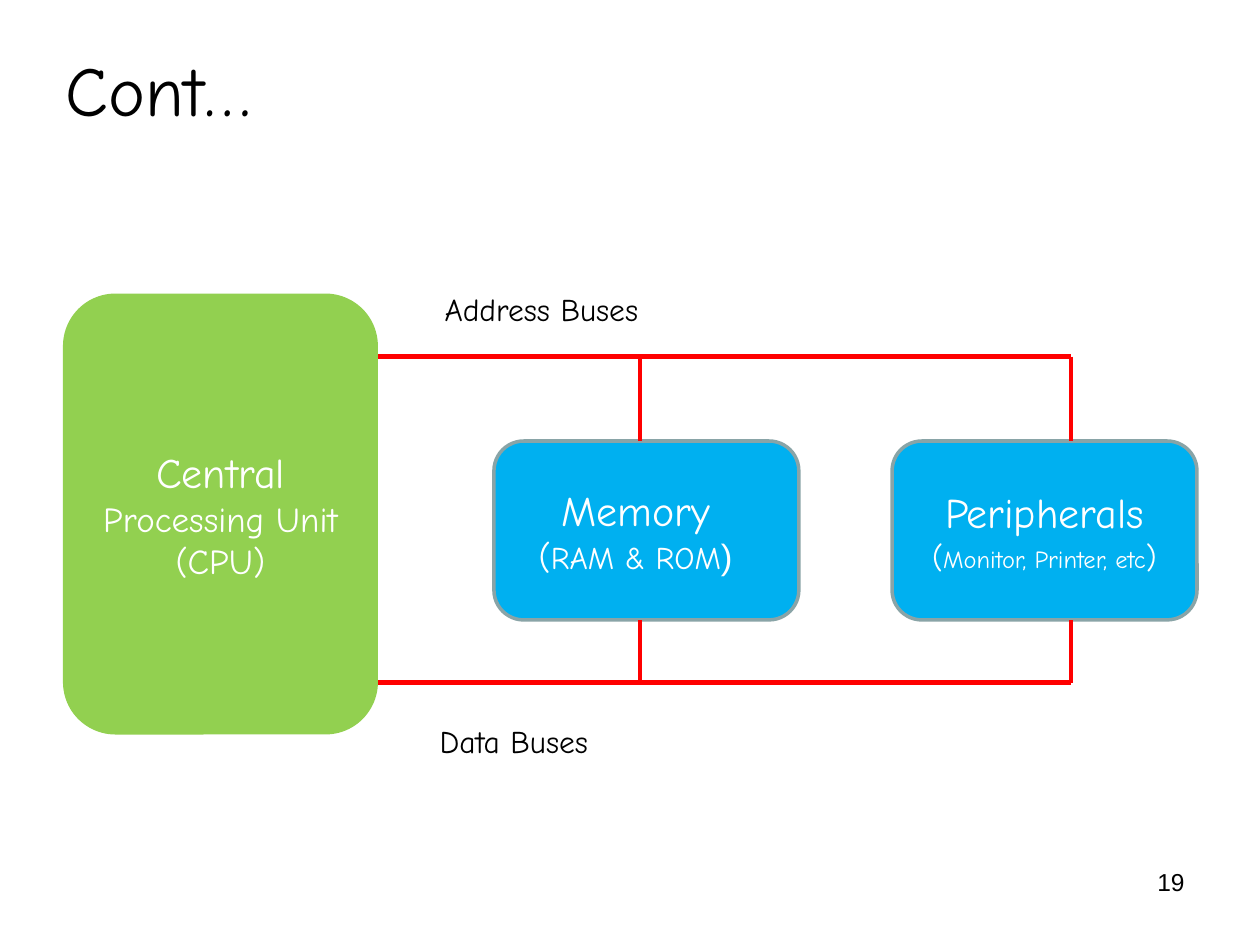
from dataclasses import dataclass

from pptx import Presentation
from pptx.dml.color import RGBColor
from pptx.enum.shapes import MSO_CONNECTOR as Connector, MSO_SHAPE as Shape
from pptx.enum.text import MSO_ANCHOR as Anchor, PP_ALIGN as Align
from pptx.oxml.ns import qn
from pptx.util import Inches, Pt

BLACK = RGBColor(0x00, 0x00, 0x00)
WHITE = RGBColor(0xFF, 0xFF, 0xFF)
GREEN = RGBColor(0x92, 0xD0, 0x50)
BLUE = RGBColor(0x00, 0xB0, 0xF0)
BORDER = RGBColor(0x89, 0xA4, 0xA7)
RED = RGBColor(0xFF, 0x00, 0x00)
HAND_FONT = "Comic Neue"
PLAIN_FONT = "Arial"

CPU_RIGHT = 3
MEMORY_X, PERIPHERALS_X = 5.08, 8.5
ADDRESS_Y, DATA_Y = 2.83, 5.42
UNIT_TOP, UNIT_WIDTH, UNIT_HEIGHT = 3.5, 2.42, 1.42


@dataclass(frozen=True)
class Run:
    text: str
    size: float
    font: str = HAND_FONT
    color: RGBColor = WHITE


@dataclass(frozen=True)
class Line:
    runs: tuple[Run, ...]
    right_indent: float = 0


@dataclass(frozen=True)
class Block:
    box: tuple[float, float, float, float]
    fill: RGBColor
    border: RGBColor | None
    lines: tuple[Line, ...]


@dataclass(frozen=True)
class Label:
    box: tuple[float, float, float, float]
    run: Run
    align: Align = Align.LEFT
    wrap: bool = False


@dataclass(frozen=True)
class Wire:
    start: tuple[float, float]
    end: tuple[float, float]


def unit_block(left: float, *lines: Line) -> Block:
    return Block((left, UNIT_TOP, UNIT_WIDTH, UNIT_HEIGHT), BLUE, BORDER, lines)


BLOCKS = (
    Block((0.5, 2.33, 2.5, 3.5), GREEN, None,
          (Line((Run("Central ", 24), Run("Processing Unit (CPU)", 20))),)),
    unit_block(3.92,
               Line((Run("Memory", 24),), right_indent=0.17),
               Line((Run("(", 20), Run("RAM & ROM", 18), Run(")", 20, PLAIN_FONT)))),
    unit_block(7.08,
               Line((Run("Peripherals", 24),)),
               Line((Run("(", 18), Run("Monitor, Printer, etc", 14), Run(")", 18)))),
)

BUSES = ((ADDRESS_Y, UNIT_TOP), (DATA_Y, UNIT_TOP + UNIT_HEIGHT))
WIRES = [Wire((CPU_RIGHT, bus_y), (PERIPHERALS_X, bus_y)) for bus_y, _ in BUSES] + [
    Wire((unit_x, bus_y), (unit_x, unit_y))
    for bus_y, unit_y in BUSES
    for unit_x in (MEMORY_X, PERIPHERALS_X)
]

LABELS = (
    Label((3.43, 2.25, 1.74, 0.4), Run("Address Buses", 18, color=BLACK)),
    Label((3.39, 5.68, 1.38, 0.4), Run("Data Buses", 18, color=BLACK)),
    Label((7.17, 6.83, 2.33, 0.52), Run("19", 14, PLAIN_FONT, BLACK), Align.RIGHT, True),
)


def add_run(paragraph, run: Run) -> None:
    text_run = paragraph.add_run()
    text_run.text = run.text
    text_run.font.size = Pt(run.size)
    text_run.font.name = run.font
    text_run.font.color.rgb = run.color


def draw_title(slide) -> None:
    title = slide.shapes.title
    title.left, title.top = Inches(0.42), Inches(0.08)
    title.width, title.height = Inches(9), Inches(1.25)
    title.text_frame.vertical_anchor = Anchor.MIDDLE
    heading = title.text_frame.paragraphs[0]
    heading.alignment = Align.LEFT
    add_run(heading, Run("Cont…", 40, color=BLACK))


def draw_block(slide, block: Block) -> None:
    shape = slide.shapes.add_shape(Shape.ROUNDED_RECTANGLE, *map(Inches, block.box))
    shape.shadow.inherit = False
    shape.fill.solid()
    shape.fill.fore_color.rgb = block.fill
    if block.border is None:
        shape.line.fill.background()
    else:
        shape.line.color.rgb = block.border
        shape.line.width = Pt(2)
    frame = shape.text_frame
    frame.word_wrap = True
    frame.vertical_anchor = Anchor.MIDDLE
    for index, line in enumerate(block.lines):
        paragraph = frame.add_paragraph() if index else frame.paragraphs[0]
        paragraph.alignment = Align.CENTER
        if line.right_indent:
            properties = paragraph._p.get_or_add_pPr()
            properties.set("marR", str(Inches(line.right_indent)))
        for run in line.runs:
            add_run(paragraph, run)


def draw_wire(slide, wire: Wire) -> None:
    connector = slide.shapes.add_connector(
        Connector.STRAIGHT, *map(Inches, wire.start + wire.end))
    connector.line.color.rgb = RED
    connector.line.width = Pt(2.75)
    properties = connector._element.spPr
    properties.append(properties.makeelement(qn("a:effectLst"), {}))


def draw_label(slide, label: Label) -> None:
    frame = slide.shapes.add_textbox(*map(Inches, label.box)).text_frame
    frame.word_wrap = label.wrap
    paragraph = frame.paragraphs[0]
    paragraph.alignment = label.align
    add_run(paragraph, label.run)


def main() -> None:
    deck = Presentation()
    deck.slide_width, deck.slide_height = Inches(10), Inches(7.5)
    slide = deck.slides.add_slide(deck.slide_layouts[5])
    draw_title(slide)
    for block in BLOCKS:
        draw_block(slide, block)
    for wire in WIRES:
        draw_wire(slide, wire)
    for label in LABELS:
        draw_label(slide, label)
    deck.save("out.pptx")


if __name__ == "__main__":
    main()
